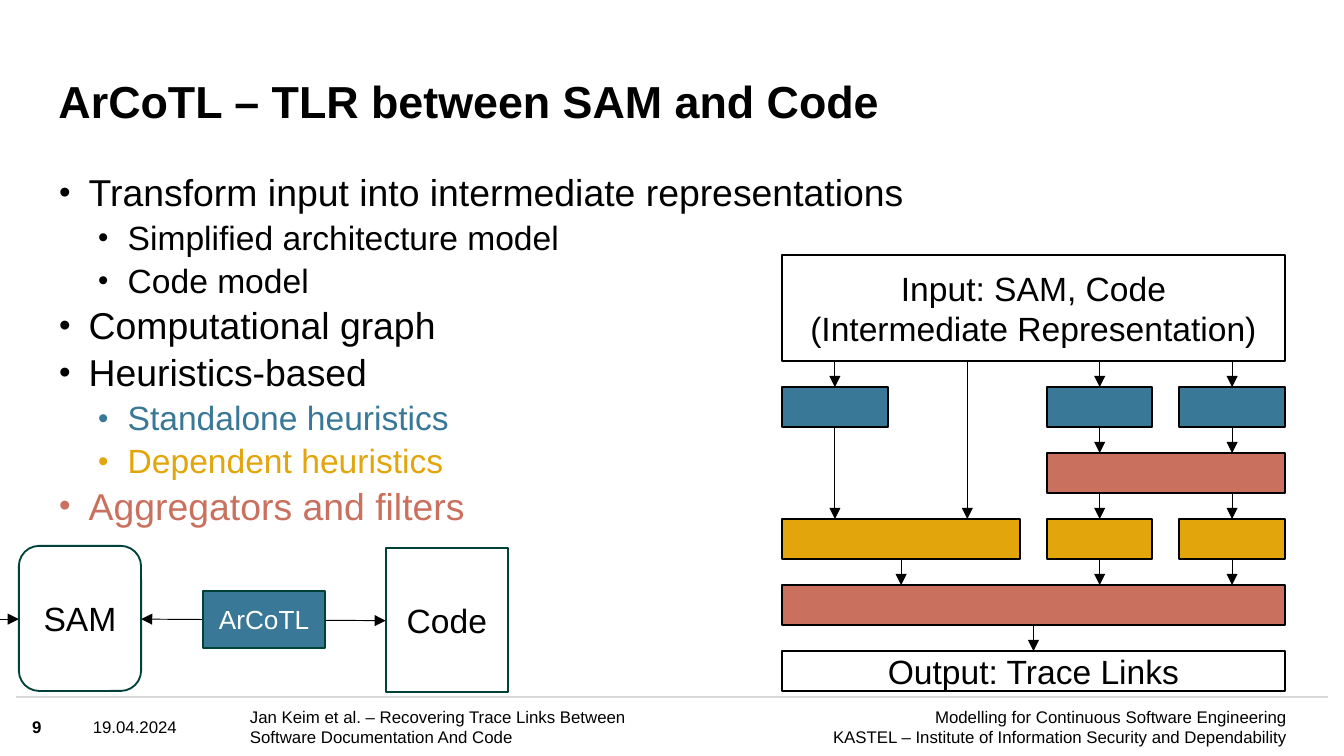
import pptx
import pptx.util
import pptx.dml.color
import pptx.enum.shapes
import pptx.enum.text
import pptx.oxml.ns
import lxml.etree
from dataclasses import dataclass

SHAPE = pptx.enum.shapes.MSO_SHAPE
ALIGN = pptx.enum.text.PP_ALIGN
ANCHOR = pptx.enum.text.MSO_ANCHOR
Pt = pptx.util.Pt


@dataclass(frozen=True)
class Theme:
    font: str = "Arial"
    black: str = "000000"
    white: str = "FFFFFF"
    grey: str = "D9D9D9"
    green: str = "004239"
    blue: str = "397896"
    gold: str = "E2A50C"
    red: str = "CA705E"
    title: int = 24
    body: int = 20
    sub: int = 18
    tag: int = 14
    foot: int = 9


def rgb(code):
    return pptx.dml.color.RGBColor.from_string(code)


def sub(parent, tag, **attrs):
    return lxml.etree.SubElement(parent, pptx.oxml.ns.qn(tag), attrs)


class Canvas:
    """Style and current slide; lengths are percent of the slide's size."""

    def __init__(self, deck, theme):
        self.theme = theme
        self.wide, self.high = deck.slide_width, deck.slide_height
        self.slide = deck.slides.add_slide(deck.slide_layouts[5])

    def scale(self, x, y):
        return round(x * self.wide / 100), round(y * self.high / 100)

    def style(self, para, size, color, bold=False, align=ALIGN.LEFT):
        para.alignment = align
        font = para.font
        font.name, font.size, font.bold = self.theme.font, Pt(size), bold
        font.color.rgb = rgb(color)

    def frame(self, shape, anchor):
        frame = shape.text_frame
        frame.word_wrap = True
        frame.auto_size = pptx.enum.text.MSO_AUTO_SIZE.NONE
        frame.vertical_anchor = anchor
        frame.margin_left = frame.margin_right = 0
        frame.margin_top = frame.margin_bottom = 0
        return frame

    def title(self, text, x, y, w, h):
        shape = self.slide.shapes.title
        shape.left, shape.top = self.scale(x, y)
        shape.width, shape.height = self.scale(w, h)
        frame = self.frame(shape, ANCHOR.BOTTOM)
        frame.text = text
        para = frame.paragraphs[0]
        para.line_spacing = 0.9
        self.style(para, self.theme.title, self.theme.black, bold=True)

    def text(self, text, x, y, w, h, bold=False, align=ALIGN.LEFT):
        shape = self.slide.shapes.add_textbox(*self.scale(x, y), *self.scale(w, h))
        frame = self.frame(shape, ANCHOR.MIDDLE)
        frame.text = text
        for para in frame.paragraphs:
            self.style(para, self.theme.foot, self.theme.black, bold, align)

    def bullets(self, items, x, y, w, h):
        shape = self.slide.shapes.add_textbox(*self.scale(x, y), *self.scale(w, h))
        frame = self.frame(shape, ANCHOR.TOP)
        frame.text = "\n".join(text for level, text, color in items)
        for para, (level, _, color) in zip(frame.paragraphs, items):
            para.level = level
            para.line_spacing, para.space_before = 0.9, Pt(3.6)
            props = para._p.get_or_add_pPr()
            props.set("marL", str(pptx.util.Inches((0.22, 0.51)[level])))
            props.set("indent", str(pptx.util.Inches(-0.22)))
            sub(props, "a:buSzPct", val="88000")
            sub(props, "a:buFont", typeface=self.theme.font)
            sub(props, "a:buChar", char="•")
            self.style(para, (self.theme.body, self.theme.sub)[level], color)

    def box(self, x, y, w, h, fill, line, text="", size=18, color="000000",
            kind=SHAPE.RECTANGLE):
        shape = self.slide.shapes.add_shape(kind, *self.scale(x, y), *self.scale(w, h))
        shape.shadow.inherit = False
        if fill:
            shape.fill.solid()
            shape.fill.fore_color.rgb = rgb(fill)
        else:
            shape.fill.background()
        shape.line.color.rgb, shape.line.width = rgb(line), Pt(1)
        if text:
            frame = shape.text_frame
            frame.word_wrap = True
            frame.vertical_anchor = ANCHOR.MIDDLE
            frame.text = text
            for para in frame.paragraphs:
                self.style(para, size, color, align=ALIGN.CENTER)

    def line(self, x1, y1, x2, y2, color, width=0.5, ends=()):
        link = self.slide.shapes.add_connector(
            pptx.enum.shapes.MSO_CONNECTOR.STRAIGHT,
            *self.scale(x1, y1), *self.scale(x2, y2))
        link.line.color.rgb, link.line.width = rgb(color), Pt(width)
        for end in ends:
            sub(link.line._get_or_add_ln(), "a:" + end, type="triangle")
        sub(link._element.spPr, "a:effectLst")


@dataclass(frozen=True)
class Grid:
    """Equal cells with gaps inside an area, in percent of the slide."""
    x: float
    y: float
    w: float
    h: float
    cols: int
    rows: int
    gapx: float
    gapy: float

    def area(self, col, row, cols=1, rows=1):
        stepx = (self.w + self.gapx) / self.cols
        stepy = (self.h + self.gapy) / self.rows
        return (self.x + col * stepx, self.y + row * stepy,
                cols * stepx - self.gapx, rows * stepy - self.gapy)

    def drop(self, col, top, end):
        """Line from the foot of row top to the head of row end."""
        x, y, w, h = self.area(col, top)
        return x + w / 2, y + h, x + w / 2, self.area(col, end)[1]


def main():
    deck = pptx.Presentation()
    deck.slide_width = pptx.util.Inches(10)
    deck.slide_height = deck.slide_width * 9 // 16
    look = Theme()
    page = Canvas(deck, look)

    # Title and footer
    page.title("ArCoTL – TLR between SAM and Code", 4.35, 5.7, 75.1, 11.2)
    page.line(1.2, 92.2, 98.8, 92.2, look.grey, 1)
    foot = 92.3, 7.7
    for text, x, w, bold, align in (
            ("9", 2.4, 3.6, True, ALIGN.LEFT),
            ("19.04.2024", 6.9, 11.2, False, ALIGN.LEFT),
            ("Jan Keim et al. – Recovering Trace Links Between\n"
             "Software Documentation And Code", 18.6, 40.3, False, ALIGN.LEFT),
            ("Modelling for Continuous Software Engineering\n"
             "KASTEL – Institute of Information Security and Dependability",
             60.2, 35.5, False, ALIGN.RIGHT)):
        page.text(text, x, foot[0], w, foot[1], bold, align)

    # Bullet list
    page.bullets((
        (0, "Transform input into intermediate representations", look.black),
        (1, "Simplified architecture model", look.black),
        (1, "Code model", look.black),
        (0, "Computational graph", look.black),
        (0, "Heuristics-based", look.black),
        (1, "Standalone heuristics", look.blue),
        (1, "Dependent heuristics", look.gold),
        (0, "Aggregators and filters", look.red)), 4.4, 23.1, 91.2, 65.4)

    # SAM, ArCoTL and Code
    page.box(28.7, 72.5, 9.1, 19, None, look.green, "Code", look.sub)
    page.box(1.4, 72.2, 9.1, 19.2, look.white, look.green, "SAM", look.sub,
             kind=SHAPE.ROUNDED_RECTANGLE)
    page.line(0, 81.9, 1.4, 81.9, look.black, ends=("tailEnd",))
    page.line(10.5, 81.9, 28.7, 82.1, look.black, ends=("headEnd", "tailEnd"))
    page.box(15.1, 78.2, 9.1, 7.5, look.blue, look.green, "ArCoTL", look.tag, look.white)

    # Computational graph: column, row, columns, rows
    graph = Grid(58.2, 33.75, 37.4, 57.7, 4, 7, 2, 3.4)
    for place, fill, text in (
            ((0, 0, 4, 2), look.white, "Input: SAM, Code\n(Intermediate Representation)"),
            ((0, 2), look.blue, ""), ((2, 2), look.blue, ""), ((3, 2), look.blue, ""),
            ((2, 3, 2), look.red, ""),
            ((0, 4, 2), look.gold, ""), ((2, 4), look.gold, ""), ((3, 4), look.gold, ""),
            ((0, 5, 4), look.red, ""),
            ((0, 6, 4), look.white, "Output: Trace Links")):
        page.box(*graph.area(*place), fill, look.black, text, look.sub)

    # Graph arrows: column, from row, to row
    short = [(col, row, row + 1) for col in (2, 3) for row in range(1, 5)]
    for drop in short + [(0, 1, 2), (0, 2, 4), (1, 1, 4), (0.5, 4, 5), (1.5, 5, 6)]:
        page.line(*graph.drop(*drop), look.black, ends=("tailEnd",))

    deck.save("out.pptx")


if __name__ == "__main__":
    main()
